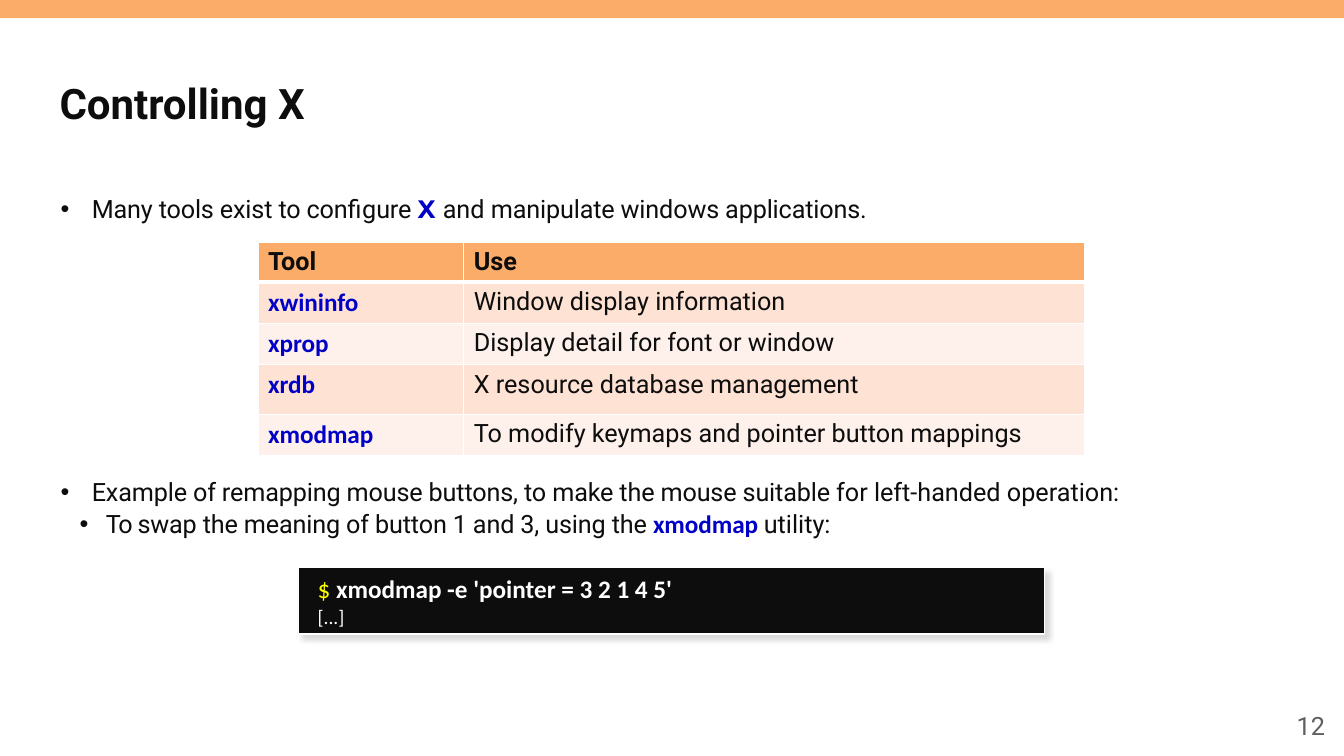
from lxml import etree
from pptx import Presentation
from pptx.dml.color import RGBColor
from pptx.enum.shapes import MSO_SHAPE
from pptx.enum.text import MSO_ANCHOR, MSO_AUTO_SIZE, PP_ALIGN
from pptx.oxml.ns import qn
from pptx.util import Inches, Pt

RECTANGLE = MSO_SHAPE.RECTANGLE
TOP, MIDDLE = MSO_ANCHOR.TOP, MSO_ANCHOR.MIDDLE
LEFT, RIGHT = PP_ALIGN.LEFT, PP_ALIGN.RIGHT
NO_AUTOFIT = MSO_AUTO_SIZE.NONE

ORANGE = RGBColor(0xFC, 0xAC, 0x69)
BANDS = RGBColor(0xFE, 0xE3, 0xD4), RGBColor(0xFE, 0xF1, 0xEB)
INK = RGBColor(0x0D, 0x0D, 0x0D)
BLUE = RGBColor(0x00, 0x00, 0xC7)
YELLOW = RGBColor(0xFF, 0xFF, 0x00)
WHITE = RGBColor(0xFF, 0xFF, 0xFF)
GREY = RGBColor(0x5F, 0x5F, 0x5F)
SHADOW = RGBColor(0xDA, 0xDA, 0xDA)

PLAIN = dict(name="Roboto", size=Pt(18), bold=False, color=INK)
TIGHT = dict(PLAIN, tracking=-10)
TITLE = dict(PLAIN, size=Pt(30), bold=True)
HEADER = dict(PLAIN, bold=True)
COMMAND = dict(name="Calibri", size=Pt(18), bold=True, color=BLUE, tracking=-5)
X_NAME = dict(PLAIN, name="Montserrat", bold=True, color=BLUE)
PAGE = dict(PLAIN, color=GREY)
PROMPT = dict(COMMAND, bold=False, color=YELLOW, tracking=0)
TYPED = dict(PROMPT, bold=True, color=WHITE)
OUTPUT = dict(TYPED, size=Pt(14), bold=False)

# Each bullet: level, left margin, hanging indent, paragraph format, runs
BULLETS = [
    (0, 0.32, -0.31, dict(line_spacing=0.9, space_before=Pt(0)), [
        ("Many tools exist to configure ", TIGHT), ("X ", X_NAME),
        ("and ", PLAIN), ("manipulate windows applications.", TIGHT)]),
    (0, 0.32, -0.31, dict(line_spacing=0.9, space_before=Pt(183)), [
        ("Example of remapping mouse buttons, to make the mouse suitable ", TIGHT),
        ("for left-handed operation:", PLAIN)]),
    (1, 0.46, -0.26, dict(line_spacing=1.0, space_before=Pt(0.8)), [
        ("To ", dict(PLAIN, tracking=-100)),
        ("swap the meaning of button 1 and 3, using the ", TIGHT),
        ("xmodmap ", COMMAND), ("utility:", PLAIN)]),
]
TOOLS = [
    ("Tool", "Use"),
    ("xwininfo", "Window display information"),
    ("xprop", "Display detail for font or window"),
    ("xrdb", "X resource database management"),
    ("xmodmap", "To modify keymaps and pointer button mappings"),
]
SESSION = [
    (18.3, [("$ ", PROMPT), ("xmodmap -e 'pointer = 3 2 1 4 5'", TYPED)]),
    (18.4, [("[...]", OUTPUT)]),
]


def apply(target, **values):
    for attribute, value in values.items():
        setattr(target, attribute, value)


def place(shape, box):
    apply(shape, **dict(zip(("left", "top", "width", "height"), map(Inches, box))))


def write(paragraph, runs):
    """Add (text, style) runs; tracking is in hundredths of a point."""
    for text, style in runs:
        run = paragraph.add_run()
        run.text = text
        for attribute, value in style.items():
            if attribute == "color":
                run.font.color.rgb = value
            elif attribute == "tracking":
                run.font._element.set("spc", str(value))
            else:
                setattr(run.font, attribute, value)


def child(parent, tag, **attributes):
    node = etree.SubElement(parent, qn(tag))
    for key, value in attributes.items():
        node.set(key, str(value))
    return node


def add_rectangle(slide, box, fill):
    shape = slide.shapes.add_shape(RECTANGLE, *map(Inches, box))
    shape.shadow.inherit = False
    shape.fill.solid()
    shape.fill.fore_color.rgb = fill
    shape.line.fill.background()
    return shape


def add_title(slide, box):
    title = slide.shapes.title
    place(title, box)
    frame = title.text_frame
    apply(frame, vertical_anchor=MIDDLE, auto_size=NO_AUTOFIT)
    frame.paragraphs[0].alignment = LEFT
    write(frame.paragraphs[0], [("Controlling X", TITLE)])


def add_bullets(slide, box):
    body = slide.placeholders[1]
    place(body, box)
    frame = body.text_frame
    apply(frame, vertical_anchor=TOP, auto_size=NO_AUTOFIT)
    for index, (level, margin, indent, spacing, runs) in enumerate(BULLETS):
        paragraph = frame.add_paragraph() if index else frame.paragraphs[0]
        properties = paragraph._p.get_or_add_pPr()
        properties.set("marL", str(Inches(margin)))
        properties.set("indent", str(Inches(indent)))
        child(properties, "a:buFont", typeface="Arial")
        child(properties, "a:buChar", char="•")
        apply(paragraph, level=level, **spacing)
        write(paragraph, runs)


def set_borders(cell, **widths):
    """Draw white cell borders, given in points by side letter."""
    properties = cell._tc.get_or_add_tcPr()
    for side, width in widths.items():
        line = child(properties, f"a:ln{side}", w=Pt(width))
        child(child(line, "a:solidFill"), "a:srgbClr", val=WHITE)


def add_tools_table(slide, box):
    table = slide.shapes.add_table(len(TOOLS), 2, *map(Inches, box)).table
    for column, width in zip(table.columns, (2.04, 6.16)):
        column.width = Inches(width)
    for row, height in zip(table.rows, (0.4, 0.41, 0.41, 0.49, 0.41)):
        row.height = Inches(height)
    for r, texts in enumerate(TOOLS):
        styles = (COMMAND, PLAIN) if r else (HEADER, HEADER)
        for c, (text, style) in enumerate(zip(texts, styles)):
            cell = table.cell(r, c)
            set_borders(cell, L=1, R=1, T=3 if r == 1 else 1, B=1 if r else 3)
            cell.fill.solid()
            cell.fill.fore_color.rgb = BANDS[(r - 1) % 2] if r else ORANGE
            write(cell.text_frame.paragraphs[0], [(text, style)])


def add_terminal(slide, box):
    terminal = add_rectangle(slide, box, INK)
    terminal.line.color.rgb = WHITE
    terminal.line.width = Pt(1)
    effects = terminal._element.spPr.find(qn("a:effectLst"))
    shadow = child(effects, "a:outerShdw", blurRad=Pt(4), dist=Pt(4),
                   dir=45 * 60000, algn="tl", rotWithShape=0)
    child(shadow, "a:srgbClr", val=SHADOW)
    frame = terminal.text_frame
    apply(frame, vertical_anchor=TOP, word_wrap=True, margin_left=Inches(0.19),
          margin_right=Inches(0.1), margin_top=Inches(0.1), margin_bottom=Inches(0.06))
    for index, (spacing, runs) in enumerate(SESSION):
        paragraph = frame.add_paragraph() if index else frame.paragraphs[0]
        apply(paragraph, alignment=LEFT, line_spacing=Pt(spacing))
        write(paragraph, runs)


def add_page_number(slide, box):
    frame = slide.shapes.add_textbox(*map(Inches, box)).text_frame
    apply(frame, vertical_anchor=MIDDLE, word_wrap=True)
    frame.paragraphs[0].alignment = RIGHT
    write(frame.paragraphs[0], [("12", PAGE)])


def main():
    deck = Presentation()
    apply(deck, slide_width=Inches(13.33), slide_height=Inches(7.5))
    slide = deck.slides.add_slide(deck.slide_layouts[1])
    add_rectangle(slide, (0, 0, 13.33, 0.18), ORANGE)
    add_title(slide, (0.49, 0.55, 12.36, 0.94))
    add_bullets(slide, (0.49, 1.9, 12.36, 4.76))
    add_page_number(slide, (10.24, 7, 3, 0.4))
    add_terminal(slide, (2.96, 5.63, 7.4, 0.66))
    add_tools_table(slide, (2.56, 2.4, 8.2, 2.12))
    deck.save("out.pptx")


if __name__ == "__main__":
    main()
